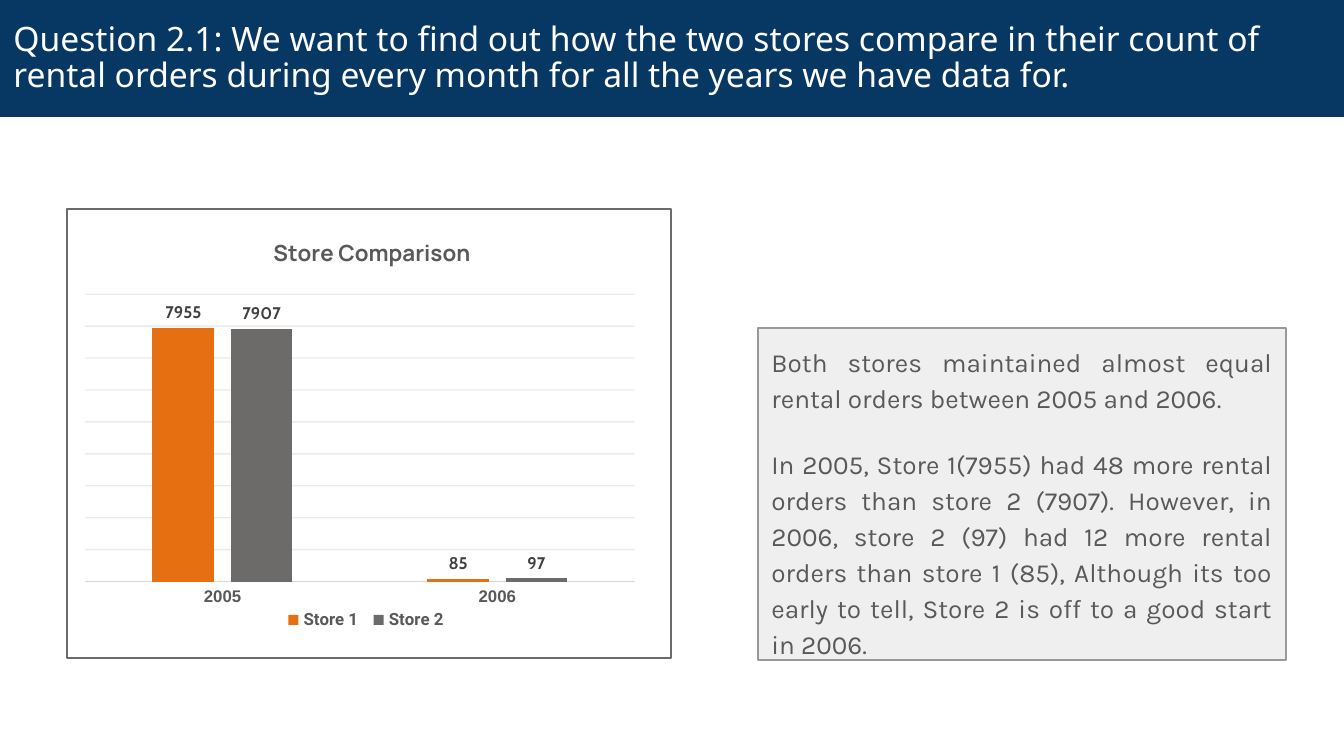
from pptx import Presentation
from pptx.chart.data import CategoryChartData
from pptx.dml.color import RGBColor
from pptx.enum.chart import XL_CHART_TYPE, XL_LABEL_POSITION, XL_LEGEND_POSITION, XL_TICK_LABEL_POSITION, XL_TICK_MARK
from pptx.enum.text import MSO_ANCHOR, MSO_AUTO_SIZE, PP_ALIGN
from pptx.oxml import parse_xml
from pptx.oxml.ns import nsdecls
from pptx.util import Emu, Pt
from lxml.etree import SubElement

# Content
HEAD = ("Question 2.1: We want to find out how the two stores compare in their "
        "count of rental orders during every month for all the years we have data for. ")
NOTES = [
    "Both stores maintained almost equal rental orders between 2005 and 2006.",
    "In 2005, Store 1(7955) had 48 more rental orders than store 2 (7907). However, "
    "in 2006, store 2 (97) had 12 more rental orders than store 1 (85), Although its "
    "too early to tell, Store 2 is off to a good start in 2006. ",
]
YEARS = ["2005", "2006"]
STORES = [("Store 1", (7955, 85), "orange"), ("Store 2", (7907, 97), "gray")]
COLORS = {"navy": "073763", "white": "FFFFFF", "panel": "EFEFEF", "edge": "999999",
          "text": "595959", "label": "404040", "grid": "D9D9D9",
          "orange": "E66F11", "gray": "6D6A6A", "black": "000000"}

# Pixel boxes: left, top, width, height
HEAD_BOX = (0, 0, 1344, 117)
NOTE_BOX = (758, 328, 528, 332)
CHART_BOX = (66, 208, 606, 451)
SCALE = 914400 / 134.4


def px(n):
    return Emu(round(n * SCALE))


def color(name):
    return RGBColor.from_string(COLORS[name])


def style(font, face, size, hue, bold=False):
    font.name, font.size, font.bold = face, Pt(size), bold
    font.color.rgb = color(hue)


def stroke(line, hue, width):
    line.color.rgb = color(hue)
    line.width = Pt(width)


def write(frame, texts, face, size, hue, bold=False, align=PP_ALIGN.LEFT,
          spacing=1.0, after=0):
    for i, text in enumerate(texts):
        para = frame.add_paragraph() if i else frame.paragraphs[0]
        para.alignment, para.line_spacing = align, spacing
        para.space_before, para.space_after = Pt(0), Pt(after)
        run = para.add_run()
        run.text = text
        style(run.font, face, size, hue, bold)


def place(shape, box, fill, anchor):
    shape.left, shape.top, shape.width, shape.height = map(px, box)
    shape.fill.solid()
    shape.fill.fore_color.rgb = color(fill)
    frame = shape.text_frame
    frame.word_wrap, frame.auto_size = True, MSO_AUTO_SIZE.NONE
    frame.vertical_anchor = anchor
    frame.margin_left = frame.margin_right = Pt(7.2)
    frame.margin_top = frame.margin_bottom = Pt(7.2)
    return frame


def layout(x, y, w=None, h=None, inner=False):
    parts = [("layoutTarget", "inner")] if inner else []
    parts += [("xMode", "edge"), ("yMode", "edge"), ("x", x), ("y", y)]
    parts += [(k, v) for k, v in (("w", w), ("h", h)) if v]
    body = "".join(f'<c:{k} val="{v}"/>' for k, v in parts)
    return parse_xml(f'<c:layout {nsdecls("c")}><c:manualLayout>{body}'
                     '</c:manualLayout></c:layout>')


def set_layout(node, after, new):
    for old in node.findall(new.tag):
        node.remove(old)
    if after is None:
        node.insert(0, new)
    else:
        after.addnext(new)


deck = Presentation()
deck.slide_width, deck.slide_height = px(1344), px(756)
slide = deck.slides.add_slide(deck.slide_layouts[1])

# Commentary panel
panel = slide.placeholders[1]
frame = place(panel, NOTE_BOX, "panel", MSO_ANCHOR.TOP)
stroke(panel.line, "edge", 0.75)
write(frame, NOTES, "Karla", 14, "text", align=PP_ALIGN.JUSTIFY, spacing=1.15, after=16)
for para in frame.paragraphs:
    props = para._p.get_or_add_pPr()
    props.set("marL", "0")
    props.set("indent", "0")
    props.append(parse_xml(f'<a:buNone {nsdecls("a")}/>'))

# Title band
frame = place(slide.shapes.title, HEAD_BOX, "navy", MSO_ANCHOR.MIDDLE)
write(frame, [HEAD], "Noto Sans", 18, "white", spacing=0.9)

# Chart
data = CategoryChartData()
data.categories = YEARS
for name, vals, _ in STORES:
    data.add_series(name, vals)
chart = slide.shapes.add_chart(XL_CHART_TYPE.COLUMN_CLUSTERED,
                               *map(px, CHART_BOX), data).chart
style(chart.font, "Arial", 10, "black")
chart.has_title = True
write(chart.chart_title.text_frame, ["Store Comparison"], "Manrope", 12, "text",
      bold=True, align=PP_ALIGN.CENTER)
title = chart.chart_title._element
set_layout(title, title.tx, layout(0.335, 0.05))

plot = chart.plots[0]
plot.gap_width, plot.overlap, plot.vary_by_categories = 219, -27, False
for item, (_, _, hue) in zip(plot.series, STORES):
    item.format.fill.solid()
    item.format.fill.fore_color.rgb = color(hue)
    item.invert_if_negative = False
    tags = item.data_labels
    tags.show_value, tags.position = True, XL_LABEL_POSITION.OUTSIDE_END
    style(tags.font, "Cabin", 9, "label", True)

# Axes
cat = chart.category_axis
cat.major_tick_mark = XL_TICK_MARK.NONE
style(cat.tick_labels.font, "Arial", 9, "text", True)
stroke(cat.format.line, "grid", 0.75)
val = chart.value_axis
val.minimum_scale, val.maximum_scale, val.major_unit = 0, 9000, 1000
val.has_major_gridlines = True
val.tick_label_position = XL_TICK_LABEL_POSITION.NONE
val.visible = False
grid = val.major_gridlines.format.line
stroke(grid, "grid", 0.75)
for tone in val._element.iter("{*}srgbClr"):
    SubElement(tone, tone.tag.replace("srgbClr", "alpha")).set("val", "49000")

# Legend, plot area and frame
chart.has_legend = True
legend = chart.legend
legend.position, legend.include_in_layout = XL_LEGEND_POSITION.BOTTOM, False
style(legend.font, "Roboto", 9, "text", True)
node = legend._element
set_layout(node, node.find("{*}legendPos"), layout(0.35, 0.88, 0.29, 0.07))
area = chart._chartSpace.chart.plotArea
set_layout(area, None, layout(0.03, 0.19, 0.91, 0.64, inner=True))
border = parse_xml(
    f'<c:spPr {nsdecls("c", "a")}><a:solidFill><a:srgbClr val="{COLORS["white"]}"/>'
    f'</a:solidFill><a:ln w="{Pt(1)}"><a:solidFill><a:srgbClr val="{COLORS["gray"]}"/>'
    '</a:solidFill></a:ln></c:spPr>')
chart._chartSpace.chart.addnext(border)

deck.save("out.pptx")
